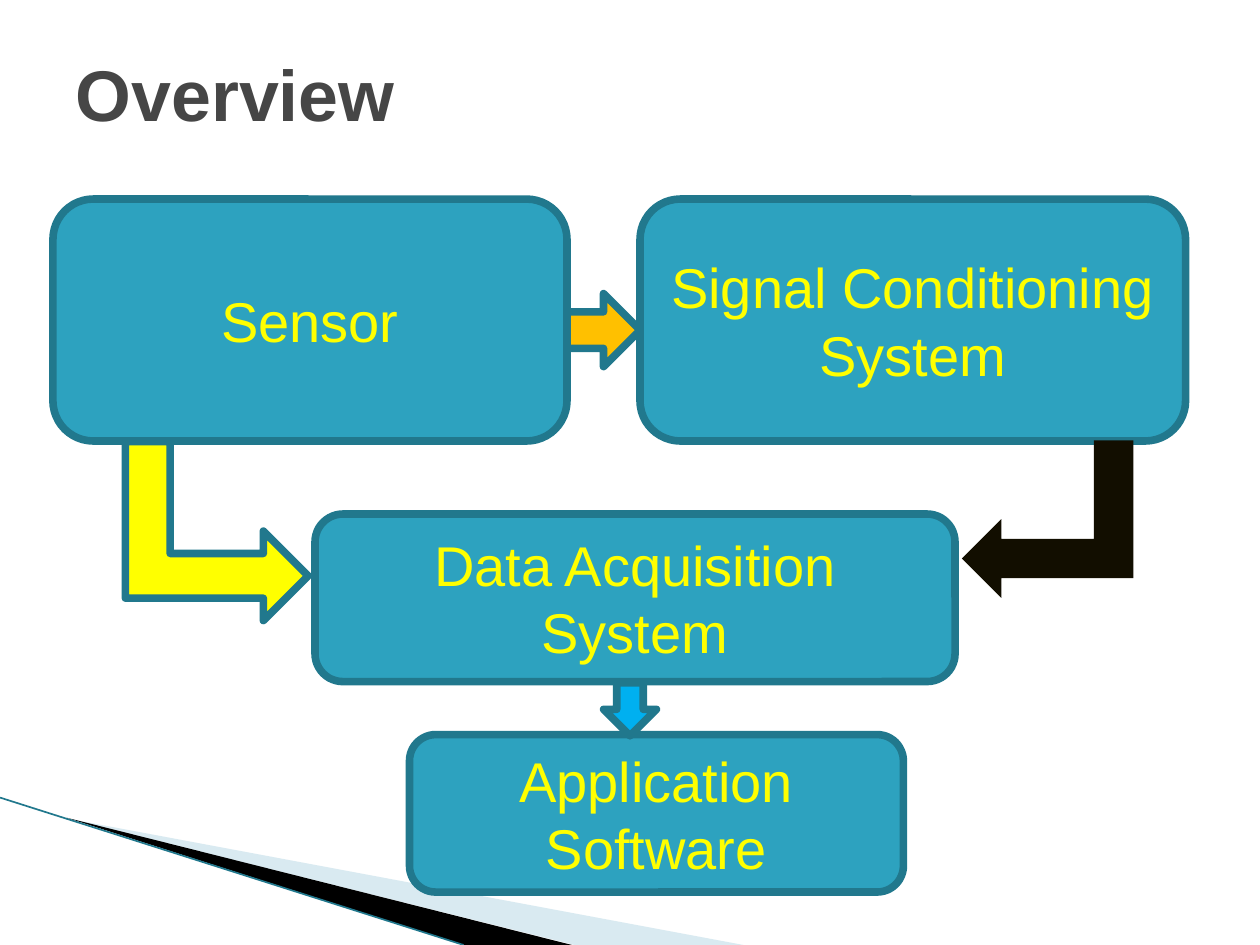
from dataclasses import dataclass

from lxml.etree import SubElement
from pptx import Presentation
from pptx.dml.color import RGBColor
from pptx.enum.shapes import MSO_CONNECTOR, MSO_SHAPE
from pptx.enum.text import MSO_ANCHOR, PP_ALIGN
from pptx.oxml.ns import qn
from pptx.util import Inches, Pt

FONT = "Arial"
TEAL, EDGE, YELLOW = "2DA2BF", "21788D", "FFFF00"


@dataclass
class Box:
    text: str
    left: float
    top: float
    width: float
    height: float


@dataclass
class Arrow:
    kind: MSO_SHAPE
    left: float
    top: float
    width: float
    height: float
    fill: str
    edge: str = EDGE
    turn: int = 0
    flip: bool = False


BOXES = [
    Box("Sensor", 0.42, 1.58, 4.08, 1.92),
    Box("Signal Conditioning System", 5.08, 1.58, 4.33, 1.92),
    Box("Data Acquisition System", 2.5, 4.08, 5.08, 1.33),
    Box("Application Software", 3.25, 5.83, 3.92, 1.25),
]
ARROWS = [
    Arrow(MSO_SHAPE.BENT_UP_ARROW, 1.01, 3.49, 1.42, 1.45, YELLOW, turn=90),
    Arrow(MSO_SHAPE.BENT_UP_ARROW, 7.69, 3.44, 1.25, 1.36, "120E00",
          edge="", turn=270, flip=True),
    Arrow(MSO_SHAPE.RIGHT_ARROW, 4.5, 2.33, 0.58, 0.58, "FFC000"),
    Arrow(MSO_SHAPE.DOWN_ARROW, 4.79, 5.42, 0.42, 0.42, "00B0F0"),
]


def color(code: str) -> RGBColor:
    return RGBColor.from_string(code)


def paint(shape, fill: str, edge: str = "") -> None:
    shape.shadow.inherit = False
    shape.fill.solid()
    shape.fill.fore_color.rgb = color(fill)
    if edge:
        shape.line.color.rgb = color(edge)
        shape.line.width = Pt(4.33)
    else:
        shape.line.fill.background()


def write(shape, text: str, size: int, code: str, align: PP_ALIGN,
          bold: bool = False) -> None:
    frame = shape.text_frame
    frame.text = text
    frame.word_wrap = True
    frame.vertical_anchor = MSO_ANCHOR.MIDDLE
    para = frame.paragraphs[0]
    para.alignment = align
    font = para.runs[0].font
    font.name, font.size, font.bold = FONT, Pt(size), bold
    font.color.rgb = color(code)


def place(shapes, kind: MSO_SHAPE, item: Box | Arrow):
    return shapes.add_shape(kind, Inches(item.left), Inches(item.top),
                            Inches(item.width), Inches(item.height))


def draw_box(shapes, box: Box) -> None:
    shape = place(shapes, MSO_SHAPE.ROUNDED_RECTANGLE, box)
    paint(shape, TEAL, EDGE)
    write(shape, box.text, 32, YELLOW, PP_ALIGN.CENTER)


def draw_arrow(shapes, arrow: Arrow) -> None:
    shape = place(shapes, arrow.kind, arrow)
    paint(shape, arrow.fill, arrow.edge)
    shape.rotation = arrow.turn
    if arrow.flip:
        shape._element.spPr.find(qn("a:xfrm")).set("flipH", "1")


def draw_wedge(shapes, points: list[tuple[float, float]], fill: str,
               alpha: int = 100) -> None:
    first, *rest = [(Inches(x), Inches(y)) for x, y in points]
    pen = shapes.build_freeform(*first)
    pen.add_line_segments(rest, close=True)
    shape = pen.convert_to_shape()
    paint(shape, fill)
    if alpha < 100:
        tint = shape._element.spPr.find(qn("a:solidFill"))[0]
        SubElement(tint, qn("a:alpha")).set("val", str(alpha * 1000))


def draw_line(shapes) -> None:
    line = shapes.add_connector(MSO_CONNECTOR.STRAIGHT, Inches(0), Inches(6.33),
                                Inches(3.68), Inches(7.5))
    line.line.color.rgb = color(EDGE)
    line.line.width = Pt(0.95)
    SubElement(line._element.spPr, qn("a:effectLst"))


def main() -> None:
    deck = Presentation()
    deck.slide_width, deck.slide_height = Inches(10), Inches(7.5)
    slide = deck.slides.add_slide(deck.slide_layouts[5])
    shapes = slide.shapes

    # Corner decoration
    draw_wedge(shapes, [(0.55, 6.5), (5.9, 7.5), (4.56, 7.5)], "A0CBDC", 40)
    draw_wedge(shapes, [(0.53, 6.49), (4.54, 7.5), (3.68, 7.5)], "000000")
    draw_line(shapes)

    # Title
    title = shapes.title
    title.left, title.top = Inches(0.5), Inches(0.3)
    title.width, title.height = Inches(9), Inches(0.87)
    write(title, "Overview", 41, "464646", PP_ALIGN.LEFT, bold=True)

    # Flow of blocks and arrows
    for box in BOXES:
        draw_box(shapes, box)
    for arrow in ARROWS:
        draw_arrow(shapes, arrow)

    deck.save("out.pptx")


if __name__ == "__main__":
    main()
